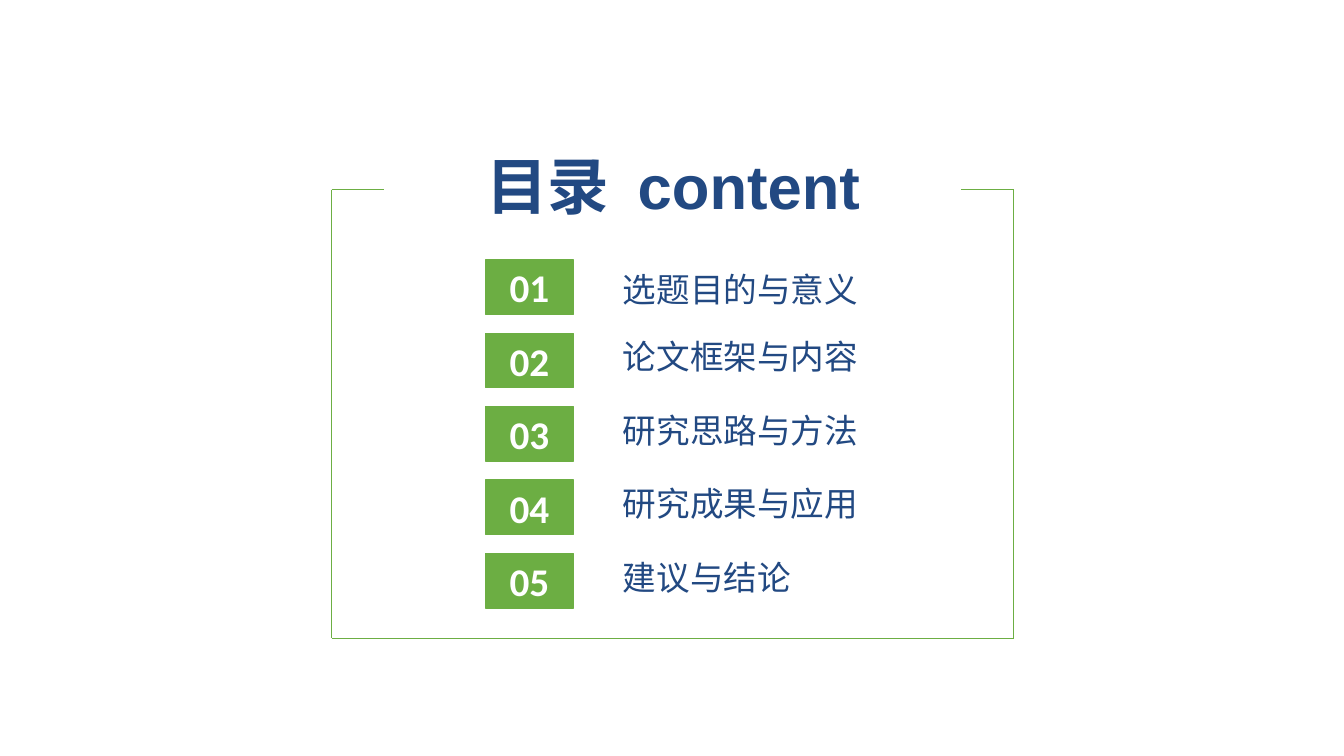
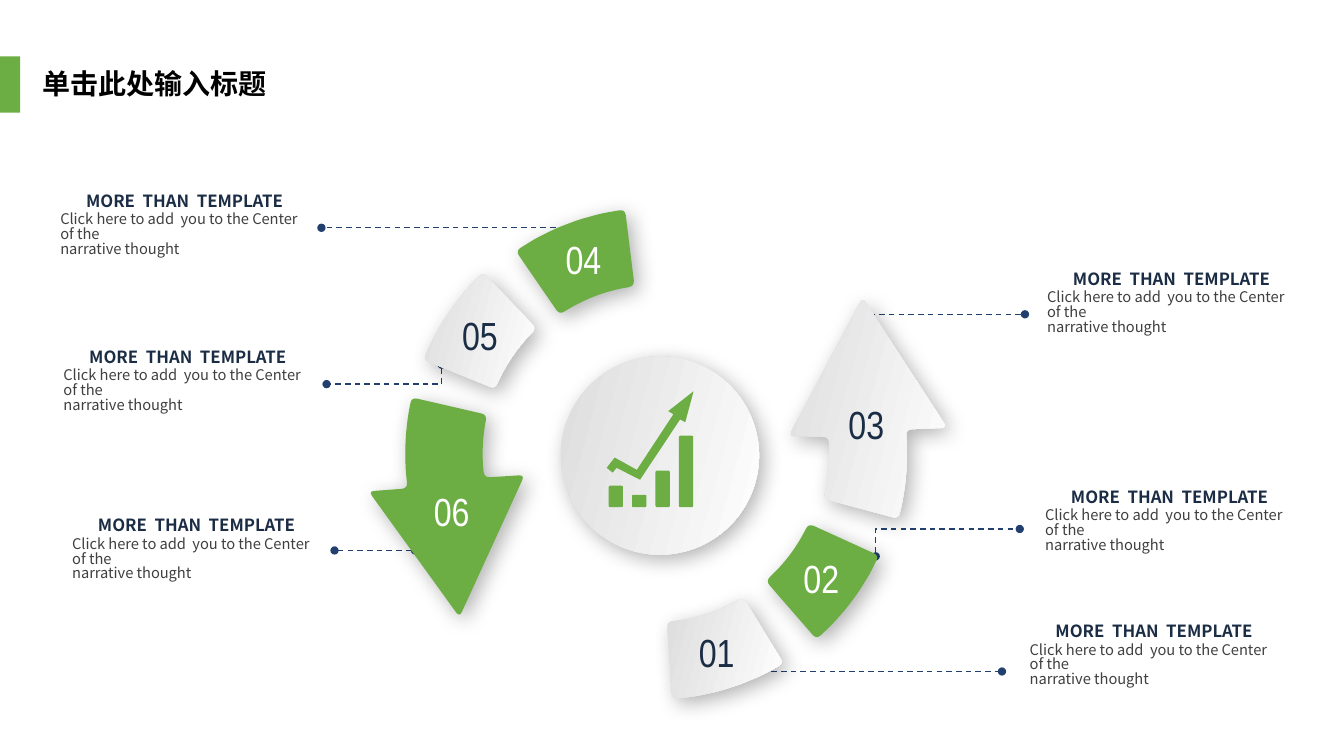
"""Build a contents slide and a six-step cycle slide."""
from math import cos, dist, radians, sin

from pptx import Presentation
from pptx.dml.color import RGBColor
from pptx.enum.dml import MSO_LINE
from pptx.enum.shapes import MSO_CONNECTOR as CONN, MSO_SHAPE as SHAPE
from pptx.enum.text import MSO_ANCHOR as ANCHOR, PP_ALIGN as ALIGN
from pptx.oxml import parse_xml
from pptx.oxml.ns import nsdecls, qn
from pptx.oxml.xmlchemy import OxmlElement
from pptx.util import Cm, Pt

GREEN = RGBColor(0x6C, 0xAE, 0x43)
BLUE = RGBColor(0x22, 0x49, 0x82)
LEADER = RGBColor(0x21, 0x40, 0x6E)
NAVY = RGBColor(0x1B, 0x2C, 0x45)
GREY = RGBColor(0x40, 0x40, 0x40)
SILVER = RGBColor(0xDD, 0xDD, 0xDD)
PEARL = RGBColor(0xFE, 0xFE, 0xFE)
WHITE = RGBColor(0xFF, 0xFF, 0xFF)
BLACK = RGBColor(0, 0, 0)

CJK = "Noto Sans CJK SC"
CAPTION_FONT = "Noto Sans CJK JP"
CONTENTS_TITLE = {"name": "Arial", "size": Pt(44), "bold": True}
CHIP = {"name": "Calibri", "size": Pt(28), "bold": True}
ENTRY = {"name": CJK, "size": Pt(24)}
SLIDE_TITLE = {"name": CJK, "size": Pt(20), "bold": True}
NUMBER = {"name": "Arial Narrow", "size": Pt(28)}
HEADING = {"name": CAPTION_FONT, "size": Pt(12), "bold": True}
BODY = {"name": CAPTION_FONT, "size": Pt(10.5), "bold": False}

CENTER = {"alignment": ALIGN.CENTER}
TIGHT = {"alignment": ALIGN.LEFT, "line_spacing": 0.85}
MIDDLE = {"vertical_anchor": ANCHOR.MIDDLE, "margin_left": 0, "margin_top": 0,
          "margin_right": 0, "margin_bottom": 0}

SHADOW = (f'<a:outerShdw {nsdecls("a")} blurRad="{Pt(15)}" dist="{Pt(5)}" '
          'dir="2700000" algn="tl" rotWithShape="0"><a:srgbClr val="000000">'
          '<a:alpha val="30000"/></a:srgbClr></a:outerShdw>')


def write(sp, text, color, font, para, frame={}):
    """Add one formatted paragraph to a shape."""
    tf = sp.text_frame
    tf.word_wrap = True
    p = tf.add_paragraph() if tf.text else tf.paragraphs[0]
    r = p.add_run()
    r.text = text
    for target, values in ((tf, frame), (p, para), (r.font, font)):
        for key, value in values.items():
            setattr(target, key, value)
    r.font.color.rgb = color
    ea = OxmlElement("a:ea")
    ea.set("typeface", font["name"] if "CJK" in font["name"] else CJK)
    r.font._element.append(ea)


def outline(s, points, close=True, radius=0):
    """Draw a polygon or open line in centimetres, with optional rounded corners."""
    if radius:
        rounded = []
        for i, corner in enumerate(points):
            cuts = []
            for other in (points[i - 1], points[(i + 1) % len(points)]):
                length = dist(corner, other)
                share = min(radius, length / 2) / length
                cuts.append([c + share * (o - c) for c, o in zip(corner, other)])
            for t in (0, 0.25, 0.5, 0.75, 1):
                rounded.append([(1 - t) ** 2 * a + 2 * t * (1 - t) * c + t * t * b
                                for a, c, b in zip(cuts[0], corner, cuts[1])])
        points = rounded
    emu = [(Cm(x), Cm(y)) for x, y in points]
    builder = s.shapes.build_freeform(*emu[0])
    builder.add_line_segments(emu[1:], close=close)
    sp = builder.convert_to_shape()
    sp.shadow.inherit = False
    return sp


prs = Presentation()
prs.slide_width, prs.slide_height = Cm(33.87), Cm(19.05)
blank = prs.slide_layouts[6]

s = prs.slides.add_slide(blank)
LEFT, RIGHT, TOP, BOTTOM, NOTCH = 8.36, 25.55, 4.78, 16.08, 1.32
for ends in (
    (LEFT, TOP, LEFT, BOTTOM),
    (LEFT, BOTTOM, RIGHT, BOTTOM),
    (RIGHT, TOP, RIGHT, BOTTOM),
    (LEFT, TOP, LEFT + NOTCH, TOP),
    (RIGHT - NOTCH, TOP, RIGHT, TOP),
):
    edge = s.shapes.add_connector(CONN.STRAIGHT, *map(Cm, ends))
    edge.line.color.rgb = GREEN
    edge.line.width = Pt(0.5)
    edge._element.spPr.append(OxmlElement("a:effectLst"))

title = s.shapes.add_textbox(Cm(11.61), Cm(3.61), Cm(10.72), Cm(2.13))
write(title, "目录  content", BLUE, CONTENTS_TITLE, CENTER)

entries = ["选题目的与意义", "论文框架与内容", "研究思路与方法", "研究成果与应用", "建议与结论"]
for i, label in enumerate(entries):
    y = 6.55 + 1.85 * i
    chip = s.shapes.add_shape(SHAPE.RECTANGLE, Cm(12.24), Cm(y), Cm(2.21), Cm(1.37))
    chip.shadow.inherit = False
    chip.fill.solid()
    chip.fill.fore_color.rgb = chip.line.color.rgb = GREEN
    chip.line.width = Pt(1)
    write(chip, f"{i + 1:02}", WHITE, CHIP, CENTER, MIDDLE)
    shift = -0.07 if i else 0.08
    entry = s.shapes.add_textbox(Cm(15.7), Cm(y + shift), Cm(11.46), Cm(1.3))
    write(entry, label, BLUE, ENTRY, {"alignment": ALIGN.JUSTIFY}, MIDDLE)

s = prs.slides.add_slide(blank)
for x1, y1, x2, y2 in (
    (14.83, 5.74, 8.1, 5.74),
    (11.13, 9.19, 8.23, 9.68),
    (10.46, 13.87, 8.43, 13.87),
    (19.1, 16.92, 25.25, 16.92),
    (22.07, 14.02, 25.7, 13.33),
    (21.82, 7.92, 25.83, 7.92),
):
    if y1 == y2:
        leader = s.shapes.add_connector(CONN.STRAIGHT, *map(Cm, (x1, y1, x2, y2)))
        leader._element.spPr.append(OxmlElement("a:effectLst"))
    else:
        leader = outline(s, [(x1, y1), (x1, y2), (x2, y2)], close=False)
        leader.fill.background()
    leader.line.color.rgb = LEADER
    leader.line.width = Pt(1)
    leader.line.dash_style = MSO_LINE.DASH
    for tag in ("a:headEnd", "a:tailEnd"):
        end = OxmlElement(tag)
        end.set("type", "oval")
        leader.line._get_or_add_ln().append(end)

CX, CY, HUB, BAND, STEPS = 16.51, 11.43, 2.5, 1.95, 5
hub = s.shapes.add_shape(SHAPE.OVAL, Cm(CX - HUB + 0.12), Cm(CY - HUB + 0.05),
                         Cm(2 * HUB), Cm(2 * HUB))
hub.shadow.inherit = False
raised = [(hub, False)]
segments = [
    (86, 58.5, 72.7, 4.25, []),
    (49, 24.5, 36.7, 4.25, []),
    (15, -5.5, -8, 4.4, [(23.87, 10.78), (21.74, 7.5), (19.88, 10.99)]),
    (263, 235.5, 249.8, 4.25, []),
    (226.5, 202, 214, 4.35, []),
    (193, 172, 164.3, 4.35, [(9.29, 12.38), (11.58, 15.55), (13.22, 11.97)]),
]
for i, (start, stop, middle, inner, head) in enumerate(segments, 1):
    angles = [radians(start + (stop - start) * k / STEPS) for k in range(STEPS + 1)]
    outside, inside = ([(CX + rad * cos(a), CY + rad * sin(a)) for a in angles]
                       for rad in (inner + BAND, inner))
    is_green = i % 2 == 0
    raised.append((outline(s, outside + head + inside[::-1], radius=0.15), is_green))
    x = CX + (inner + BAND / 2) * cos(radians(middle))
    y = CY + (inner + BAND / 2) * sin(radians(middle))
    number = s.shapes.add_textbox(Cm(x - 1.23), Cm(y - 0.72), Cm(2.46), Cm(1.45))
    write(number, f"{i:02}", WHITE if is_green else NAVY, NUMBER, CENTER)
for sp, is_green in raised:
    sp.line.fill.background()
    sp._element.spPr.find(qn("a:effectLst")).append(parse_xml(SHADOW))
    if is_green:
        sp.fill.solid()
        sp.fill.fore_color.rgb = GREEN
    else:
        sp.fill.gradient()
        sp.fill.gradient_angle = 345
        for stop, color in zip(sp.fill.gradient_stops, (SILVER, PEARL)):
            stop.color.rgb = color

green_parts = [outline(s, [
    (16.84, 10.36), (16.97, 10.44), (16.05, 11.84), (15.49, 11.53), (15.29, 11.79),
    (15.44, 11.91), (15.54, 11.79), (16.13, 12.09), (17.14, 10.57), (17.27, 10.64),
    (17.48, 9.86)])]
for i, height in enumerate((0.54, 0.31, 0.92, 1.8)):
    bar = s.shapes.add_shape(SHAPE.ROUNDED_RECTANGLE, Cm(15.34 + 0.59 * i),
                             Cm(12.78 - height), Cm(0.36), Cm(height))
    bar.adjustments[0] = 0.1
    green_parts.append(bar)
green_parts.append(s.shapes.add_shape(SHAPE.RECTANGLE, 0, Cm(1.42), Cm(0.51), Cm(1.42)))
for sp in green_parts:
    sp.shadow.inherit = False
    sp.fill.solid()
    sp.fill.fore_color.rgb = GREEN
    sp.line.fill.background()

for x, y in ((26.14, 6.58), (26.09, 12.09), (25.7, 15.47),
             (1.27, 4.62), (1.35, 8.56), (1.57, 12.8)):
    caption = s.shapes.add_textbox(Cm(x), Cm(y), Cm(6.78), Cm(2.87))
    write(caption, "MORE  THAN  TEMPLATE", NAVY, HEADING,
          {**TIGHT, "space_after": Pt(1.2)}, {"margin_top": Cm(0.26)})
    caption.text_frame.paragraphs[0]._p.get_or_add_pPr().set("marL", str(Cm(0.65)))
    for line in ("Click here to add  you to the Center of the", "narrative thought"):
        write(caption, line, GREY, BODY, TIGHT)

title = s.shapes.add_textbox(Cm(0.81), Cm(1.55), Cm(7.44), Cm(1.12))
write(title, "单击此处输入标题", BLACK, SLIDE_TITLE, {"alignment": ALIGN.LEFT})

prs.save("out.pptx")
